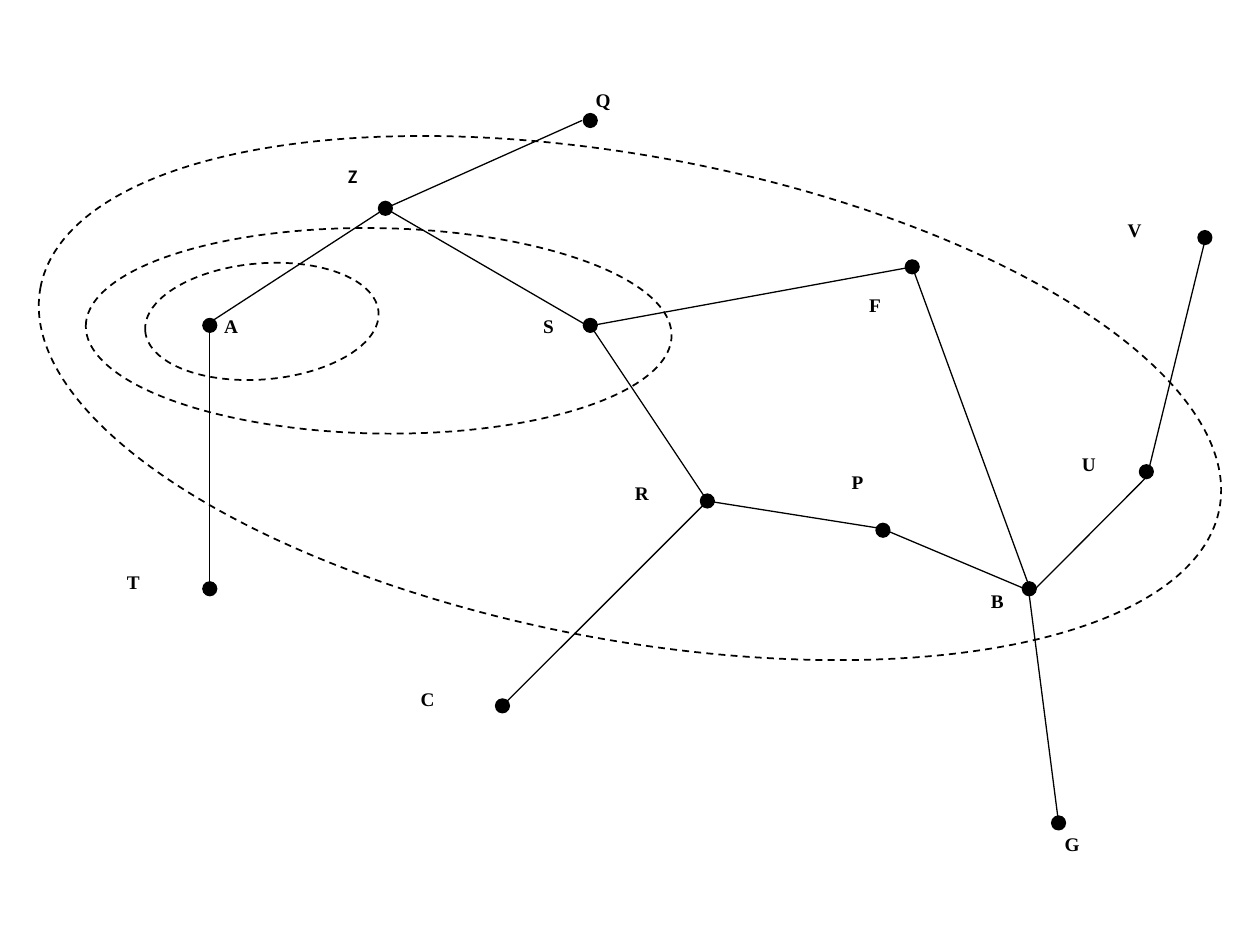
"""Build a slide with a road graph of lettered nodes and three dashed search regions."""
from dataclasses import dataclass

from lxml.etree import SubElement
from pptx import Presentation
from pptx.dml.color import RGBColor
from pptx.enum.dml import MSO_LINE
from pptx.enum.shapes import MSO_CONNECTOR, MSO_SHAPE as Shape
from pptx.enum.text import MSO_ANCHOR, PP_ALIGN as Align
from pptx.oxml.ns import qn
from pptx.util import Cm, Pt


@dataclass(frozen=True)
class Theme:
    ink: RGBColor = RGBColor(0, 0, 0)
    paper: RGBColor = RGBColor(255, 255, 255)
    serif: str = "Times New Roman"
    sans: str = "Calibri"
    label_size: Pt = Pt(11)
    edge_width: Pt = Pt(0.75)
    region_width: Pt = Pt(1)
    dot: float = 0.28
    step: float = 0.59
    origin: tuple = (4.23, 2.43)


class GraphSlide:
    def __init__(self, page, theme):
        self.page = page
        self.theme = theme

    def shape(self, kind, left, top, width, height, fill):
        item = self.page.shapes.add_shape(kind, Cm(left), Cm(top), Cm(width), Cm(height))
        item.shadow.inherit = False
        item.fill.solid()
        item.fill.fore_color.rgb = fill
        return item

    def outline(self, item, width):
        item.line.color.rgb = self.theme.ink
        item.line.width = width

    def region(self, left, top, width, height, angle):
        oval = self.shape(Shape.OVAL, left, top, width, height, self.theme.paper)
        oval.rotation = angle
        self.outline(oval, self.theme.region_width)
        oval.line.dash_style = MSO_LINE.DASH

    def label(self, letter, left, top, width=1.78, height=1.17, align=Align.JUSTIFY,
              font=None, spacing=1.5, after=0):
        box = self.shape(Shape.RECTANGLE, left, top, width, height, self.theme.paper)
        box.line.fill.background()
        frame = box.text_frame
        frame.word_wrap = True
        frame.vertical_anchor = MSO_ANCHOR.TOP
        para = frame.paragraphs[0]
        para.alignment = align
        para.line_spacing = spacing
        para.space_after = Pt(after)
        span = para.add_run()
        span.text = letter
        span.font.name = font or self.theme.serif
        span.font.size = self.theme.label_size
        span.font.bold = True
        span.font.color.rgb = self.theme.ink

    def center(self, node):
        return [start + self.theme.step * place
                for start, place in zip(self.theme.origin, NODES[node])]

    def edge(self, start, end, start_shift=(0, 0), end_shift=(0, 0)):
        points = [Cm(middle + shift)
                  for node, shifts in ((start, start_shift), (end, end_shift))
                  for middle, shift in zip(self.center(node), shifts)]
        line = self.page.shapes.add_connector(MSO_CONNECTOR.STRAIGHT, *points)
        self.outline(line, self.theme.edge_width)
        SubElement(line._element.spPr, qn("a:effectLst"))

    def node(self, name):
        size = self.theme.dot
        left, top = [middle - size / 2 for middle in self.center(name)]
        dot = self.shape(Shape.FLOWCHART_CONNECTOR, left, top, size, size, self.theme.ink)
        self.outline(dot, self.theme.edge_width)


NODES = {
    "A": (0, 7), "T": (0, 16), "Z": (6, 3), "Q": (13, 0), "S": (13, 7),
    "F": (24, 5), "R": (17, 13), "C": (10, 20), "P": (23, 14), "B": (28, 16),
    "U": (32, 12), "G": (29, 24), "V": (34, 4),
}
EDGES = [
    ("S", "F", (0.04, 0)),
    ("A", "T", (0, 0.14)),
    ("A", "Z", (0, -0.06)),
    ("Z", "Q", (0, 0), (-0.17, 0)),
    ("Z", "S", (0, 0), (0, 0.04)),
    ("S", "R", (0.06, 0.09)),
    ("V", "U", (0, 0.06), (0.06, -0.09)),
    ("B", "G", (0, 0.14)),
    ("R", "P", (0, 0), (-0.06, -0.04)),
    ("P", "B", (0.06, 0), (-0.09, 0)),
    ("R", "C"),
    ("F", "B", (0, 0), (0, -0.04)),
    ("B", "U", (0.06, 0.06), (0, 0.11)),
]
REGIONS = [
    (0.61, 3.15, 24.18, 9.75, 10.6),
    (1.73, 4.6, 11.81, 4.14, 1),
    (2.92, 5.31, 4.72, 2.34, 355.3),
]
LABELS = [
    ("T", 2.31, 11.13),
    ("C", 8.23, 13.49),
    ("G", 21.21, 16.43, 1.78, 1.17, Align.LEFT),
    ("B", 19.33, 11.53, 1.55, 1.17, Align.CENTER),
    ("F", 17.27, 5.56, 1.78, 1.45),
    ("R", 12.55, 9.35, 1.83),
    ("Z", 6.22, 3.12, 1.78, 1.17, Align.CENTER, Theme.sans, 1.15, 10),
    ("U", 21.56, 8.76, 1.78, 1.78),
    ("V", 22.48, 4.04, 1.78, 1.78),
    ("S", 10.41, 5.97, 1.3, 1.17, Align.CENTER),
    ("A", 4.27, 5.97, 1.63, 1.17, Align.LEFT),
    ("P", 16.92, 9.12),
]


def main():
    deck = Presentation()
    deck.slide_width, deck.slide_height = Cm(25.4), Cm(19.05)
    graph = GraphSlide(deck.slides.add_slide(deck.slide_layouts[6]), Theme())
    graph.label("Q", 11.76, 1.42, 1.78, 1.78)
    for region in REGIONS:
        graph.region(*region)
    for label in LABELS:
        graph.label(*label)
    for edge in EDGES:
        graph.edge(*edge)
    for name in NODES:
        graph.node(name)
    deck.save("out.pptx")


if __name__ == "__main__":
    main()
